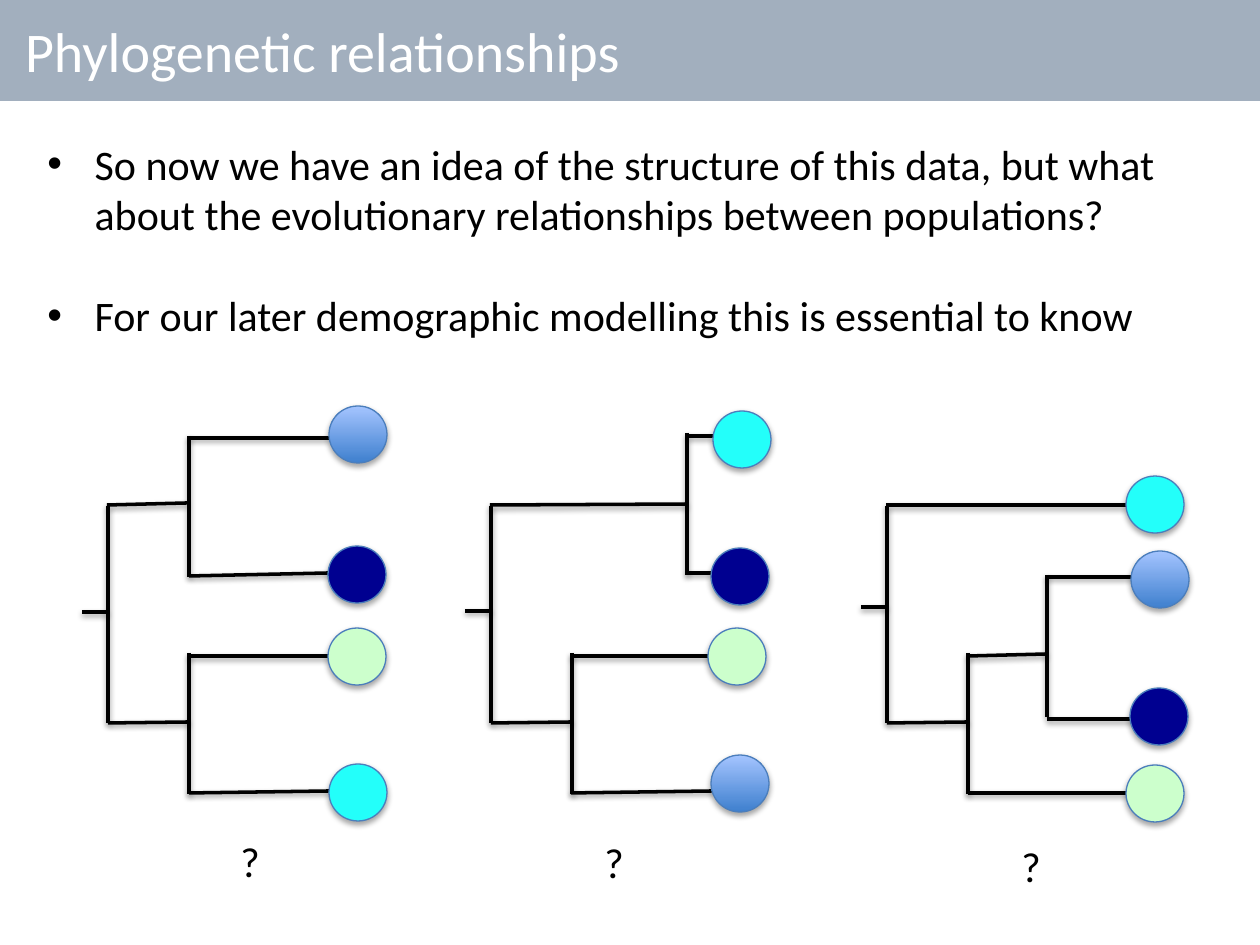
"""Build a slide comparing three candidate phylogenetic trees."""
from lxml.etree import SubElement
from pptx import Presentation
from pptx.dml.color import RGBColor
from pptx.enum.shapes import MSO_CONNECTOR, MSO_SHAPE
from pptx.enum.text import MSO_ANCHOR, MSO_AUTO_SIZE, PP_ALIGN
from pptx.oxml.ns import qn
from pptx.util import Emu, Pt

SCALE = 914400 / 126
COLORS = {
    "banner": "17375E", "title": "FFFFFF", "ink": "000000", "outline": "4B7EBC",
    "navy": "000090", "green": "CCFFCC", "cyan": "23FFFA",
    "blue_low": "3F80CE", "blue_high": "A4C4FF",
}
RGB = {name: RGBColor.from_string(value) for name, value in COLORS.items()}
TEXT = {"name": "Calibri", "size": Pt(24)}
TIP_WIDTH, TIP_HEIGHT = 58, 57


def px(*lengths):
    return [Emu(round(length * SCALE)) for length in lengths]


def add_shadow(properties, distance, opacity):
    effects = properties.find(qn("a:effectLst"))
    if effects is None:
        effects = SubElement(properties, qn("a:effectLst"))
    shadow = SubElement(effects, qn("a:outerShdw"), blurRad="40000", dist=str(distance),
                        dir="5400000", rotWithShape="0")
    shade = SubElement(shadow, qn("a:srgbClr"), val=COLORS["ink"])
    SubElement(shade, qn("a:alpha"), val=str(opacity))


presentation = Presentation()
presentation.slide_width, presentation.slide_height = px(1260, 945)
slide = presentation.slides.add_slide(presentation.slide_layouts[5])
shapes = slide.shapes

title = shapes.title
title.left, title.top, title.width, title.height = px(0, 0, 1260, 101)
title.fill.solid()
title.fill.fore_color.rgb = RGB["banner"]
banner_color = title._element.spPr.find(qn("a:solidFill")).find(qn("a:srgbClr"))
SubElement(banner_color, qn("a:alpha"), val="40000")
title_frame = title.text_frame
title_frame.text = "Phylogenetic relationships"
title_frame.vertical_anchor = MSO_ANCHOR.MIDDLE
title_frame.margin_left = px(25)[0]
heading = title_frame.paragraphs[0]
heading.alignment = PP_ALIGN.LEFT
for key, value in {"name": "Calibri", "size": Pt(32)}.items():
    setattr(heading.font, key, value)
heading.font.color.rgb = RGB["title"]

points = shapes.add_textbox(*px(35, 132, 1211, 318)).text_frame
points.word_wrap = True
points.text = (
    "So now we have an idea of the structure of this data, but what about "
    "the evolutionary relationships between populations?\n"
    "For our later demographic modelling this is essential to know"
)
for index, point in enumerate(points.paragraphs):
    layout = point._p.get_or_add_pPr()
    layout.set("marL", "342900")
    layout.set("indent", "-342900")
    if index:
        point.space_before = Pt(29)
    SubElement(layout, qn("a:buFont"), typeface="Arial")
    SubElement(layout, qn("a:buChar"), char="•")
    for key, value in TEXT.items():
        setattr(point.font, key, value)
    point.font.color.rgb = RGB["ink"]

trees = [
    {
        "offset": 0, "root": 612, "label": (228, 829),
        "branches": [
            (107, 505, 187, 503), (189, 656, 329, 656), (189, 793, 329, 791),
            (189, 436, 189, 577), (189, 438, 329, 438), (189, 576, 329, 573),
        ],
        "tips": {"blue": (329, 406), "navy": (328, 546),
                 "green": (328, 628), "cyan": (329, 764)},
    },
    {
        "offset": 383, "root": 611, "label": (592, 830),
        "branches": [
            (490, 505, 687, 504), (571, 656, 712, 656), (571, 793, 712, 791),
            (687, 433, 687, 575), (688, 436, 713, 436), (687, 573, 712, 573),
        ],
        "tips": {"blue": (711, 755), "navy": (711, 548),
                 "green": (708, 628), "cyan": (713, 411)},
    },
    {
        "offset": 779, "root": 607, "label": (1009, 834),
        "branches": [
            (886, 505, 1126, 505), (968, 656, 1047, 654), (968, 793, 1133, 793),
            (1047, 577, 1133, 577), (1047, 719, 1133, 719), (1047, 575, 1047, 717),
        ],
        "tips": {"blue": (1131, 551), "navy": (1130, 688),
                 "green": (1126, 765), "cyan": (1126, 476)},
    },
]

for tree in trees:
    stem, fork = 108 + tree["offset"], 189 + tree["offset"]
    trunk = [
        (stem - 26, tree["root"], stem, tree["root"]),
        (stem, 506, stem, 723),
        (stem, 723, fork, 722),
        (fork, 653, fork, 794),
    ]
    for ends in trunk + tree["branches"]:
        branch = shapes.add_connector(MSO_CONNECTOR.STRAIGHT, *px(*ends))
        branch.line.width = Pt(2)
        branch.line.color.rgb = RGB["ink"]
        add_shadow(branch._element.spPr, 20000, 38000)

    for population, corner in tree["tips"].items():
        tip = shapes.add_shape(MSO_SHAPE.OVAL, *px(*corner, TIP_WIDTH, TIP_HEIGHT))
        if population == "blue":
            tip.fill.gradient()
            tip.fill.gradient_angle = 90
            for stop, shade in zip(tip.fill.gradient_stops, ("blue_low", "blue_high")):
                stop.color.rgb = RGB[shade]
            for stop, position in zip(tip.fill.gradient_stops, (0, 1)):
                stop.position = position
        else:
            tip.fill.solid()
            tip.fill.fore_color.rgb = RGB[population]
        tip.line.width = Pt(0.75)
        tip.line.color.rgb = RGB["outline"]
        tip.shadow.inherit = False
        add_shadow(tip._element.spPr, 23000, 35000)

    question = shapes.add_textbox(*px(*tree["label"], 45, 63)).text_frame
    question.word_wrap = False
    question.auto_size = MSO_AUTO_SIZE.SHAPE_TO_FIT_TEXT
    question.text = "?"
    mark = question.paragraphs[0]
    for key, value in TEXT.items():
        setattr(mark.font, key, value)
    mark.font.color.rgb = RGB["ink"]

presentation.save("out.pptx")
